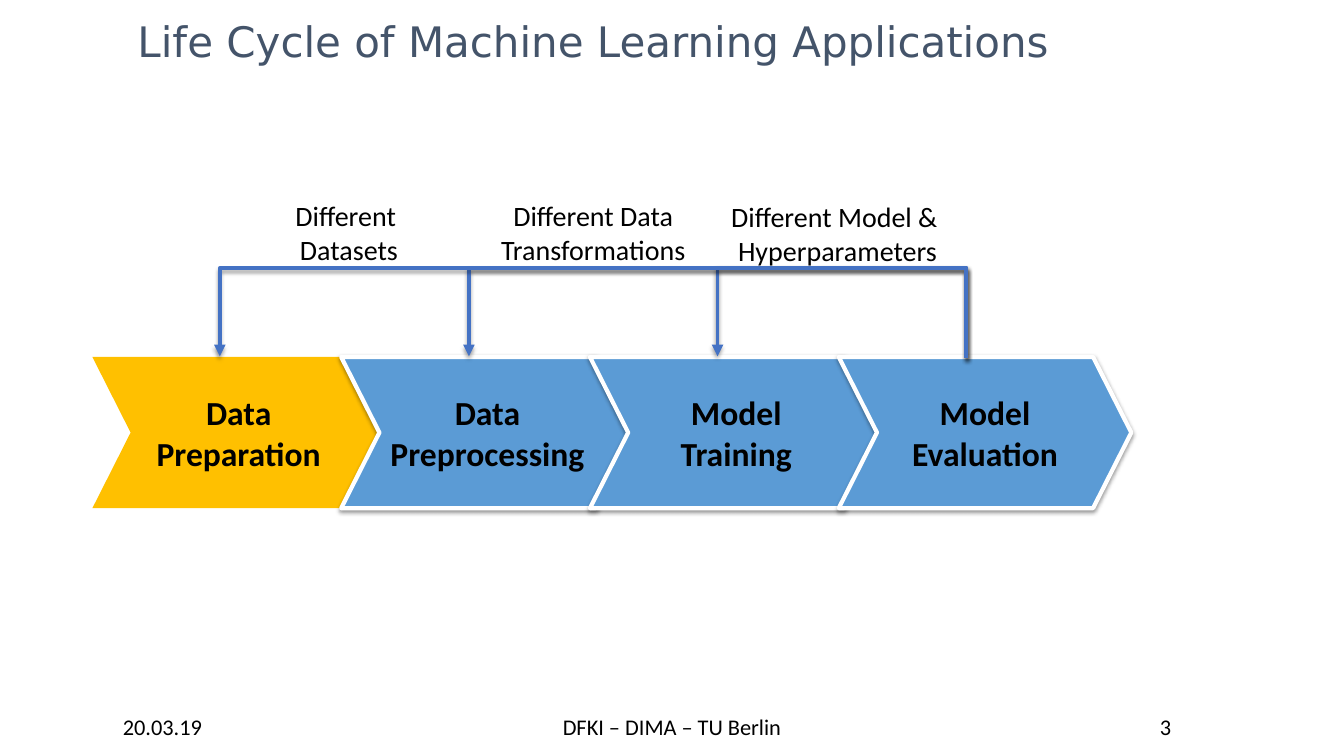
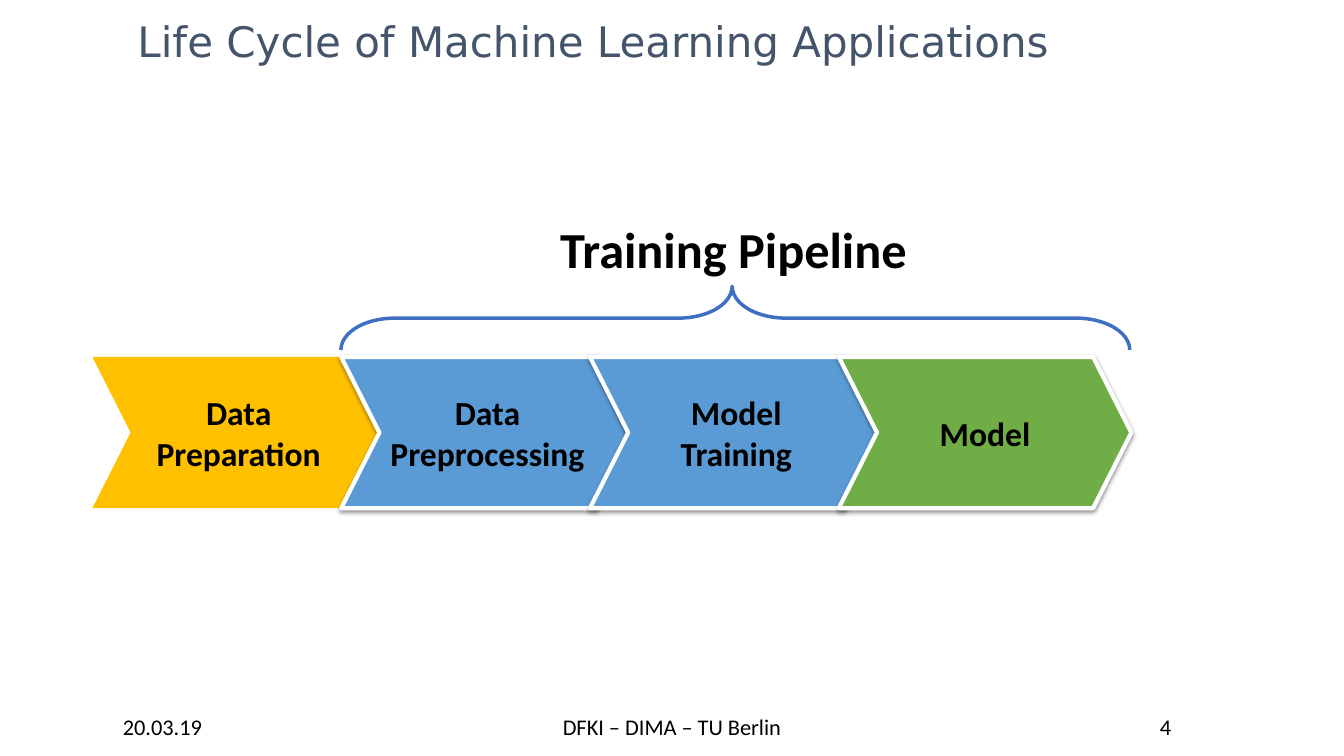
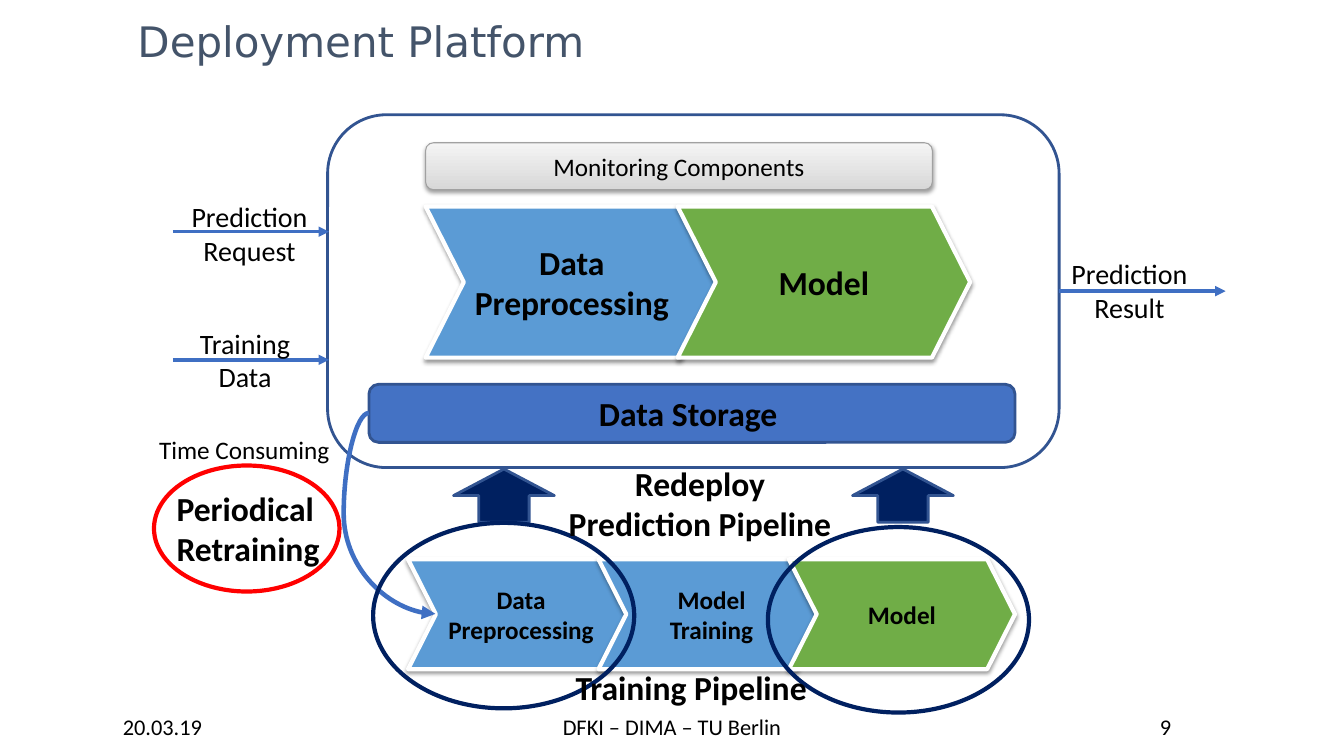
import copy

import lxml.etree
import pptx
import pptx.dml.color
import pptx.enum.shapes
import pptx.enum.text
import pptx.oxml.ns
import pptx.util

Pt = pptx.util.Pt
RGB = pptx.dml.color.RGBColor.from_string
qn = pptx.oxml.ns.qn
SHAPE = pptx.enum.shapes.MSO_SHAPE
LINK = pptx.enum.shapes.MSO_CONNECTOR
ALIGN = pptx.enum.text.PP_ALIGN
ANCHOR = pptx.enum.text.MSO_ANCHOR


class Theme:
    font, head_font = "Calibri", "DejaVu Sans"
    black, white, slate = "000000", "FFFFFF", "44546A"
    gold, sky, green = "FFC000", "5B9BD5", "70AD47"
    blue, wire, edge = "4472C4", "3F6FC3", "325491"
    navy, red = "002060", "FF0000"
    gray, pale, dark = "A1A1A1", "F4F4F4", "D8D8D8"
    foot, small, note, label, head, big = 16, 18, 20, 24, 30, 36


def put(slide, kind, box, text="", size=Theme.label, bold=False,
        align=ALIGN.CENTER, wrap=True, fill=None, line=None, width=2):
    """Add a shape, or a text box when kind is None."""
    area = [Pt(v) for v in box]
    if kind is None:
        item = slide.shapes.add_textbox(*area)
    else:
        item = slide.shapes.add_shape(kind, *area)
        item.shadow.inherit = False
        if fill:
            item.fill.solid()
            item.fill.fore_color.rgb = RGB(fill)
        else:
            item.fill.background()
        if line:
            item.line.color.rgb = RGB(line)
            item.line.width = Pt(width)
        else:
            item.line.fill.background()
    if text:
        frame = item.text_frame
        frame.word_wrap = wrap
        frame.vertical_anchor = ANCHOR.MIDDLE if kind else ANCHOR.TOP
        frame.text = text
        for par in frame.paragraphs:
            par.alignment = align
            par.font.name, par.font.size = Theme.font, Pt(size)
            par.font.bold = bold
            par.font.color.rgb = RGB(Theme.black)
    return item


def finish(item, cast=False, color=None, width=None, bend=None):
    """Set the shadow; with a color, style a connector as an arrow."""
    props = item._element.spPr
    if color:
        item.line.color.rgb = RGB(color)
        item.line.width = Pt(width)
        tail = lxml.etree.SubElement(props.find(qn("a:ln")), qn("a:tailEnd"))
        tail.set("type", "triangle")
    if bend is not None:
        geom = props.find(qn("a:prstGeom"))
        guides = geom.find(qn("a:avLst"))
        if guides is None:
            guides = lxml.etree.SubElement(geom, qn("a:avLst"))
        guide = lxml.etree.SubElement(guides, qn("a:gd"))
        guide.set("name", "adj1")
        guide.set("fmla", f"val {bend}")
    list_el = props.find(qn("a:effectLst"))
    if list_el is None:
        list_el = lxml.etree.SubElement(props, qn("a:effectLst"))
    if cast:
        shade = lxml.etree.SubElement(
            list_el, qn("a:outerShdw"), blurRad=str(Pt(3.1)),
            dist=str(Pt(1.6)), dir="5400000", rotWithShape="0")
        tint = lxml.etree.SubElement(shade, qn("a:srgbClr"), val=Theme.black)
        lxml.etree.SubElement(tint, qn("a:alpha"), val="38000")


deck = pptx.Presentation()
deck.slide_width, deck.slide_height = Pt(960), Pt(540)

# Shared layout: title and footer places
layout = deck.slide_layouts[5]
places = {0: (91, 4, 681, 50.5), 10: (45, 505.5, 142, 26.5),
          11: (360, 505.5, 240, 26.5), 12: (750, 505.5, 165, 26.5)}
for spot in layout.placeholders:
    box = places[spot.placeholder_format.idx]
    spot.left, spot.top, spot.width, spot.height = [Pt(v) for v in box]

# Titles and footers
slides = []
cycle = "Life Cycle of Machine Learning Applications"
for title, page in [(cycle, "3"), (cycle, "4"), ("Deployment Platform", "9")]:
    slide = deck.slides.add_slide(layout)
    slides.append(slide)
    for spot in layout.placeholders:
        if spot.placeholder_format.idx:
            slide.shapes._spTree.append(copy.deepcopy(spot._element))
    words = {0: title, 10: "20.03.19", 11: "DFKI – DIMA – TU Berlin", 12: page}
    for idx, text in words.items():
        frame = slide.placeholders[idx].text_frame
        frame.text = text
        frame.vertical_anchor = ANCHOR.MIDDLE
        par = frame.paragraphs[0]
        par.alignment = ALIGN.CENTER if idx else ALIGN.LEFT
        par.font.name = Theme.font if idx else Theme.head_font
        par.font.size = Pt(Theme.foot if idx else Theme.head)
        par.font.color.rgb = RGB(Theme.black if idx else Theme.slate)
first, second, third = slides

# Chevron rows: slide, left, top, step, width, height, text size, steps
prep = ("Data Preparation", Theme.gold)
clean = ("Data Preprocessing", Theme.sky)
train = ("Model Training", Theme.sky)
test = ("Model Evaluation", Theme.sky)
model = ("Model", Theme.green)
rows = [
    (first, 66, 255, 177.7, 209, 108, Theme.label, [prep, clean, train, test]),
    (second, 66, 255, 177.7, 209, 108, Theme.label, [prep, clean, train, model]),
    (third, 304, 147.5, 180, 209, 108, Theme.label, [clean, model]),
    (third, 291.5, 399.5, 136, 161.5, 78.5, Theme.small, [clean, train, model]),
]
for slide, left, top, step, width, height, size, steps in rows:
    for i, (text, fill) in enumerate(steps):
        plain = fill == Theme.gold
        item = put(slide, SHAPE.CHEVRON, (left + i * step, top, width, height),
                   text, size, True, fill=fill,
                   line=None if plain else Theme.white, width=3)
        item.adjustments[0] = 0.253
        finish(item, cast=not plain)

# Slide 1: loops back from the last step, each turned a quarter
last, base = 690, 255
loops = [(512.5, 139, "Different Model & \nHyperparameters"),
         (335, 138.5, "Different Data Transformations"),
         (157, 138.5, "Different \nDatasets")]
for i, (goal, top, text) in enumerate(loops):
    mid, half = (last + goal) / 2, (last - goal) / 2
    loop = first.shapes.add_connector(
        LINK.ELBOW, Pt(mid - 0.5), Pt(base + half), Pt(mid + 0.5), Pt(base - half))
    loop._element.spPr.find(qn("a:xfrm")).set("rot", "16200000")
    finish(loop, True, Theme.blue, 2.75, bend=6450000)
    put(first, None, (512.5 - i * 174.5, top, 171.5, 55.5), text, Theme.note)

# Slide 2: brace over the pipeline
put(second, None, (393, 152.5, 265, 51), "Training Pipeline", Theme.big, True,
    ALIGN.LEFT, False)
brace = put(second, SHAPE.LEFT_BRACE, (502.5, -54.5, 45.5, 563.5),
            line=Theme.wire, width=2.5)
brace.rotation = 90
brace.adjustments[0], brace.adjustments[1] = 0.843, 0.504

# Slide 3: platform frame, monitor bar and storage
panel = put(third, SHAPE.ROUNDED_RECTANGLE, (234, 82, 522.5, 252),
            line=Theme.edge)
bar = put(third, SHAPE.ROUNDED_RECTANGLE, (304, 102, 362, 33.5),
          "Monitoring Components", Theme.small, line=Theme.gray, width=0.75)
bar.fill.gradient()
bar.fill.gradient_angle = 90
for stop, color in zip(bar.fill.gradient_stops, (Theme.dark, Theme.pale)):
    stop.color.rgb = RGB(color)
for stop, place in zip(bar.fill.gradient_stops, (0, 1)):
    stop.position = place
finish(bar, cast=True)
put(third, SHAPE.ROUNDED_RECTANGLE, (263.5, 274.5, 461.5, 41.5),
    "Data Storage ", bold=True, fill=Theme.blue, line=Theme.edge)

# Slide 3: inputs and result
flows = [(123.5, 235, 165.5, (129, 139, 98.5, 55.5), "Prediction\nRequest"),
         (123.5, 235, 257, (135.5, 229.5, 79, 55.5), "Training\nData"),
         (756.5, 875.5, 208, (757.5, 180, 98.5, 55.5), "Prediction\nResult")]
for start, end, y, box, text in flows:
    flow = third.shapes.add_connector(
        LINK.STRAIGHT, Pt(start), Pt(y), Pt(end), Pt(y))
    if start > 234:
        flow.begin_connect(panel, 3)
    finish(flow, False, Theme.wire, 2.5)
    put(third, None, box, text, Theme.note, wrap=False)

# Slide 3: storage feeds the training pipeline
feed = third.shapes.add_connector(
    LINK.CURVE, Pt(263.5), Pt(295), Pt(311), Pt(438.5))
finish(feed, False, Theme.wire, 3.25, bend=-37900)

# Slide 3: redeploy arrows and rings
for left in (324, 609):
    put(third, SHAPE.UP_ARROW, (left, 335, 72, 38),
        fill=Theme.navy, line=Theme.edge)
rings = [(548.5, 376.5, 186.5, 132.5, Theme.navy),
         (266.5, 373.5, 186.5, 132.5, Theme.navy),
         (110, 332.5, 132.5, 90, Theme.red)]
for *box, color in rings:
    put(third, SHAPE.OVAL, box, line=color, width=3)

# Slide 3: captions
notes = [
    ((404, 473, 181.5, 36), "Training Pipeline", Theme.label, ALIGN.LEFT),
    ((398, 327, 204, 65.5), "Redeploy\nPrediction Pipeline", Theme.label,
     ALIGN.CENTER),
    ((106.5, 306.5, 137.5, 29), "Time Consuming", Theme.small, ALIGN.LEFT),
    ((119, 345, 118, 65.5), "Periodical\nRetraining", Theme.label, ALIGN.LEFT),
]
for box, text, size, align in notes:
    put(third, None, box, text, size, size == Theme.label, align, False)

deck.save("out.pptx")
